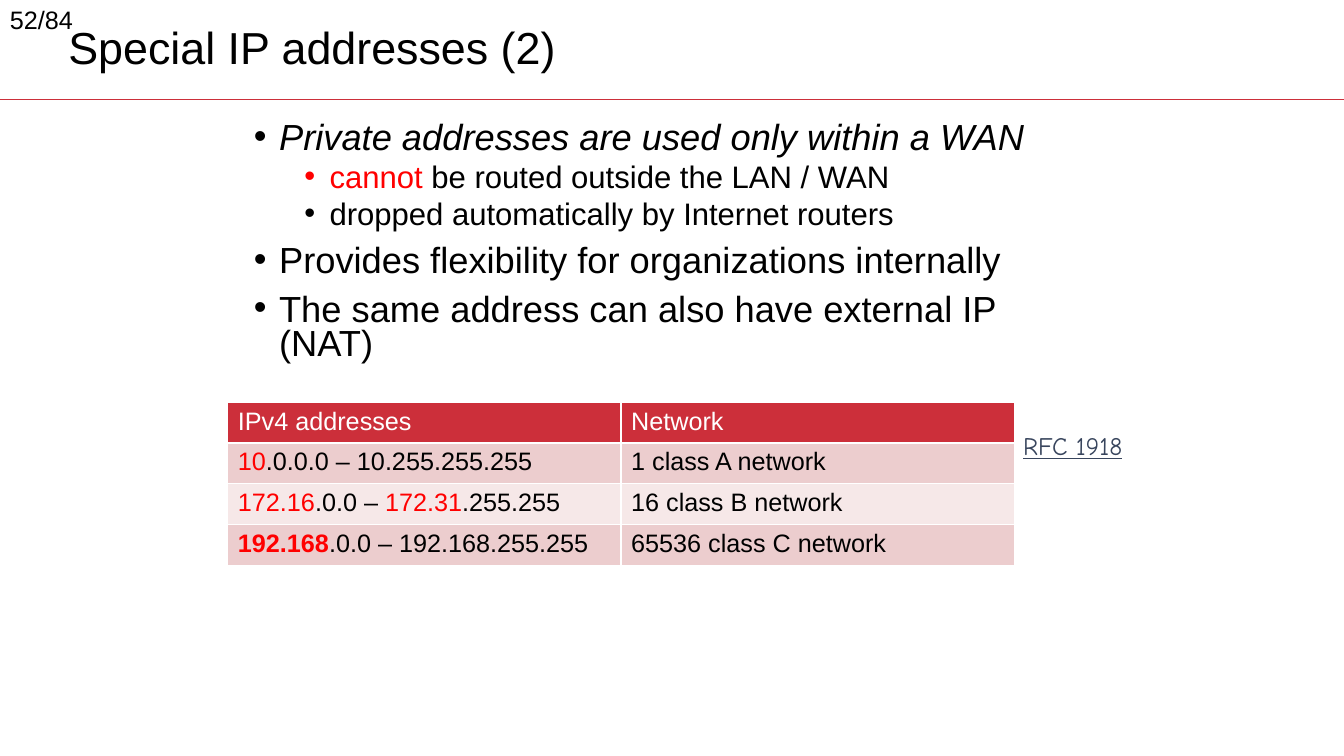
from lxml.etree import SubElement
from pptx import Presentation
from pptx.dml.color import RGBColor
from pptx.enum.shapes import MSO_CONNECTOR as Connector
from pptx.oxml.ns import qn
from pptx.util import Inches, Pt

BLACK = RGBColor(0x00, 0x00, 0x00)
WHITE = RGBColor(0xFF, 0xFF, 0xFF)
RED = RGBColor(0xFF, 0x00, 0x00)
CRIMSON = RGBColor(0xCC, 0x2F, 0x3A)
ROSE = RGBColor(0xEC, 0xCD, 0xCE)
PALE_ROSE = RGBColor(0xF6, 0xE8, 0xE8)
SLATE = RGBColor(0x38, 0x45, 0x5D)

POINTS = [
    (0, [("Private addresses are used only within a WAN", {"italic": True})]),
    (1, [("cannot", {"color": RED}), (" be routed outside the LAN / WAN", {})]),
    (1, [("dropped automatically by Internet routers", {})]),
    (0, [("Provides flexibility for organizations internally", {})]),
    (0, [("The same address can also have external IP (NAT)", {})]),
]
LEVELS = [
    {"size": 25.9, "indent": 0.25, "before": 10},
    {"size": 22.2, "indent": 0.75, "before": 5},
]
HEADINGS = ["IPv4 addresses", "Network"]
RANGES = [
    ([("10", {"color": RED}), (".0.0.0 – 10.255.255.255", {})], "1 class A network"),
    ([("172.16", {"color": RED}), (".0.0 – ", {}),
      ("172.31", {"color": RED}), (".255.255", {})], "16 class B network"),
    ([("192.168", {"color": RED, "bold": True}),
      (".0.0 – 192.168.255.255", {})], "65536 class C network"),
]


def add_span(para, text, size=18, color=BLACK, font="Arial",
             bold=False, italic=False, underline=False):
    """Append one formatted run to a paragraph."""
    span = para.add_run()
    span.text = text
    span.font.size = Pt(size)
    span.font.name = font
    span.font.color.rgb = color
    span.font.bold = bold
    span.font.italic = italic
    span.font.underline = underline


def add_box(page, left, top, width, height):
    """Add a wrapping text box and return its text frame."""
    box = page.shapes.add_textbox(Inches(left), Inches(top), Inches(width), Inches(height))
    box.text_frame.word_wrap = True
    return box.text_frame


def add_label(page, left, top, width, height, text, spacing=1.0, **style):
    """Place a single line of text."""
    para = add_box(page, left, top, width, height).paragraphs[0]
    para.line_spacing = spacing
    add_span(para, text, **style)


def add_rule(page, top, width):
    """Draw the line under the title across the page."""
    rule = page.shapes.add_connector(
        Connector.STRAIGHT, 0, Inches(top), Inches(width), Inches(top))
    rule.line.color.rgb = CRIMSON
    rule.line.width = Pt(1)
    SubElement(rule._element.spPr, qn("a:effectLst"))


def add_bullet(para, indent, color):
    """Give a paragraph a hanging bullet in the given colour."""
    props = para._p.get_or_add_pPr()
    props.set("marL", str(Inches(indent)))
    props.set("indent", str(-Inches(0.25)))
    tint = SubElement(props, qn("a:buClr"))
    SubElement(tint, qn("a:srgbClr"), val=str(color))
    SubElement(props, qn("a:buFont"), typeface="Arial")
    SubElement(props, qn("a:buChar"), char="•")


def add_points(page, left, top, width, height):
    """Place the two-level list of points."""
    frame = add_box(page, left, top, width, height)
    for index, (depth, spans) in enumerate(POINTS):
        level = LEVELS[depth]
        para = frame.add_paragraph() if index else frame.paragraphs[0]
        para.level = depth
        add_bullet(para, level["indent"], spans[0][1].get("color", BLACK))
        para.line_spacing = 0.8
        para.space_before = Pt(level["before"] if index else 0)
        for text, style in spans:
            add_span(para, text, size=level["size"], **style)


def fill_cell(cell, spans, fill):
    """Write a table cell with white borders and a solid fill."""
    props = cell._tc.get_or_add_tcPr()
    for side in ("lnL", "lnR", "lnT", "lnB"):
        border = SubElement(props, qn(f"a:{side}"), w=str(Pt(1)))
        paint = SubElement(border, qn("a:solidFill"))
        SubElement(paint, qn("a:srgbClr"), val=str(WHITE))
    cell.fill.solid()
    cell.fill.fore_color.rgb = fill
    for text, style in spans:
        add_span(cell.text_frame.paragraphs[0], text, **style)


def add_ranges(page, left, top, width, height):
    """Place the table of private address ranges."""
    rows = [[[(text, {"color": WHITE})] for text in HEADINGS]]
    rows += [[spans, [(network, {})]] for spans, network in RANGES]
    table = page.shapes.add_table(
        len(rows), len(HEADINGS), Inches(left), Inches(top),
        Inches(width), Inches(height)).table
    for row, cells in enumerate(rows):
        fill = CRIMSON if row == 0 else ROSE if row % 2 else PALE_ROSE
        for column, spans in enumerate(cells):
            fill_cell(table.cell(row, column), spans, fill)


def build_page(deck):
    """Compose the slide on special addresses."""
    page = deck.slides.add_slide(deck.slide_layouts[6])
    add_rule(page, 0.99, 13.33)
    add_label(page, 0.58, 0.21, 12, 0.69, "Special IP addresses (2)", spacing=0.9, size=32)
    add_points(page, 2.42, 1.17, 8.5, 2.52)
    add_label(page, 10.05, 4.22, 1.34, 0.4, "RFC 1918",
              font="Comic Neue", color=SLATE, underline=True)
    add_ranges(page, 2.26, 3.99, 7.8, 1.62)
    add_label(page, 0, -0.01, 1.38, 0.5, "52/84")


def main():
    """Create and save the deck."""
    deck = Presentation()
    deck.slide_width = Inches(13.33)
    deck.slide_height = Inches(7.5)
    build_page(deck)
    deck.save("out.pptx")


if __name__ == "__main__":
    main()
